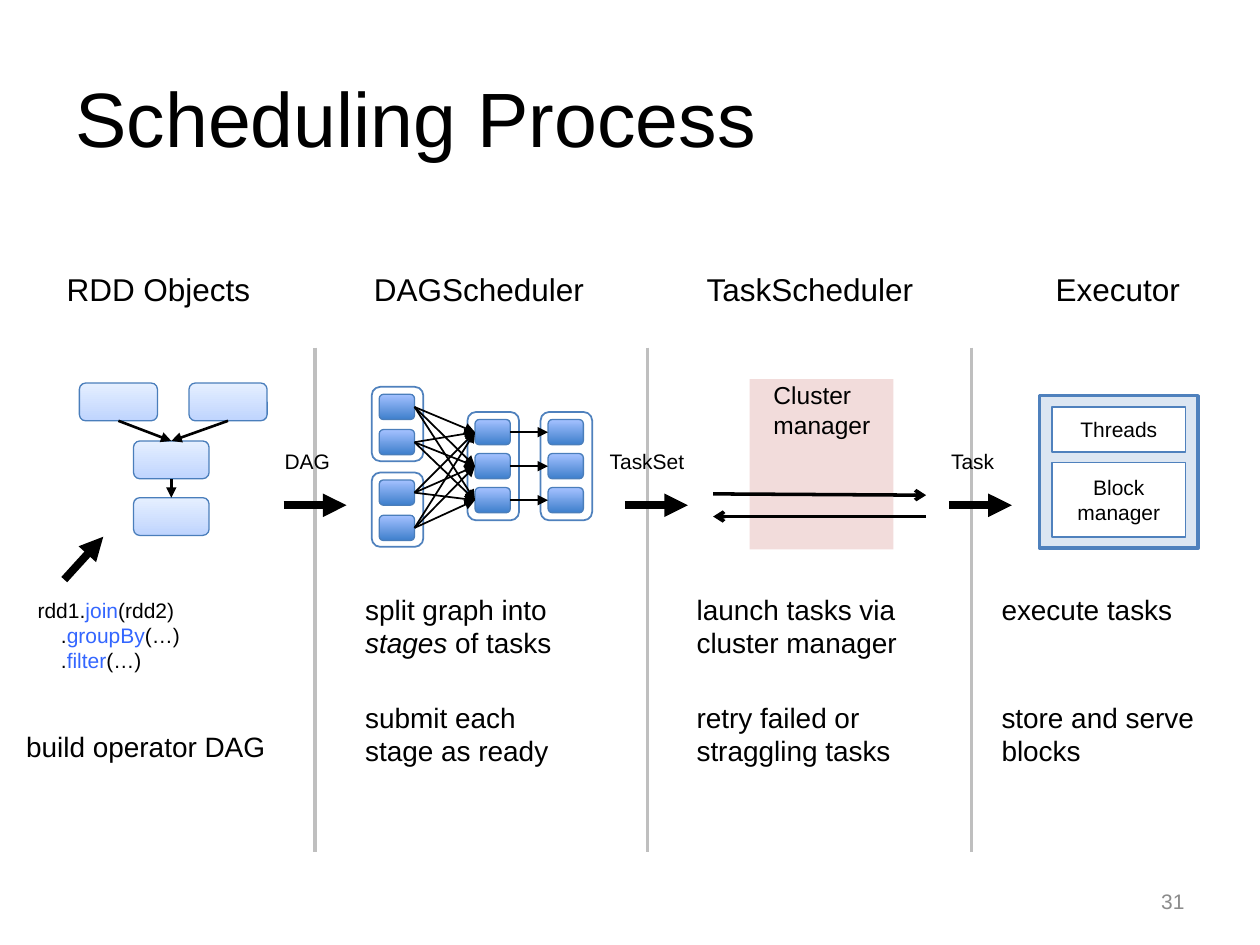
from dataclasses import dataclass
from itertools import product

from lxml.etree import SubElement
from pptx import Presentation
from pptx.dml.color import RGBColor
from pptx.enum.shapes import MSO_CONNECTOR, MSO_SHAPE
from pptx.enum.text import MSO_ANCHOR, PP_ALIGN
from pptx.oxml.ns import qn
from pptx.util import Inches, Pt


@dataclass(frozen=True)
class Theme:
    font: str = "Arial"
    text: str = "000000"
    code: str = "3366FF"
    page: str = "8B8B8B"
    white: str = "FFFFFF"
    border: str = "4F81BD"
    block_border: str = "4A7EBB"
    divider: str = "BFBFBF"
    cluster: str = "F2DCDB"
    executor: str = "DCE6F2"
    rdd: tuple = ("BFD4FE", "E5EFFF")
    task: tuple = ("3E7FCC", "A4C1FF")
    title_size: int = 44
    heading_size: int = 18
    body_size: int = 16
    cluster_size: int = 14
    label_size: int = 12


THEME = Theme()
TOP, LEFT, BOTTOM, RIGHT = range(4)  # connection sites of a rectangle


def rgb(color):
    return RGBColor.from_string(color)


def style_run(run, size, color=THEME.text):
    run.font.name = THEME.font
    run.font.size = Pt(size)
    run.font.color.rgb = rgb(color)


def style_frame(frame, size, color=THEME.text, align=PP_ALIGN.LEFT):
    for paragraph in frame.paragraphs:
        paragraph.alignment = align
        for run in paragraph.runs:
            style_run(run, size, color)


def add_text(slide, text, left, top, width, height, size,
             color=THEME.text, align=PP_ALIGN.LEFT):
    box = slide.shapes.add_textbox(*map(Inches, (left, top, width, height)))
    frame = box.text_frame
    frame.word_wrap = True
    frame.text = text
    style_frame(frame, size, color, align)
    return frame


def add_runs(paragraph, parts, size):
    """Add (text, colour, italic) parts to one paragraph."""
    for text, color, italic in parts:
        run = paragraph.add_run()
        run.text = text
        style_run(run, size, color)
        run.font.italic = italic


def add_box(slide, left, top, width, height, fill, border=None, weight=1,
            kind=MSO_SHAPE.RECTANGLE):
    """Draw a box; a pair of fill colours makes a bottom-to-top gradient."""
    box = slide.shapes.add_shape(kind, *map(Inches, (left, top, width, height)))
    box.shadow.inherit = False
    if isinstance(fill, tuple):
        box.fill.gradient()
        box.fill.gradient_angle = 90
        for stop, color in zip(box.fill.gradient_stops, fill):
            stop.color.rgb = rgb(color)
    else:
        box.fill.solid()
        box.fill.fore_color.rgb = rgb(fill)
    if border:
        box.line.color.rgb = rgb(border)
        box.line.width = Pt(weight)
    else:
        box.line.fill.background()
    return box


def add_block(slide, left, top, width, height, fill):
    return add_box(slide, left, top, width, height, fill, THEME.block_border,
                   0.75, MSO_SHAPE.ROUNDED_RECTANGLE)


def add_line(slide, start, end, weight, color=THEME.text, head=None):
    line = slide.shapes.add_connector(
        MSO_CONNECTOR.STRAIGHT, *map(Inches, (*start, *end)))
    line.line.color.rgb = rgb(color)
    line.line.width = Pt(weight)
    properties = line._element.spPr
    if head:
        SubElement(properties.find(qn("a:ln")), qn("a:tailEnd"), type=head)
    SubElement(properties, qn("a:effectLst"))
    return line


def join(slide, source, source_side, target, target_side, weight):
    arrow = add_line(slide, (0, 0), (0, 0), weight, head="triangle")
    arrow.begin_connect(source, source_side)
    arrow.end_connect(target, target_side)


def add_stage(slide, left, top, height, count, pitch):
    """Draw a stage outline with its column of tasks; return the tasks."""
    add_box(slide, left, top, 0.41, height, THEME.white, THEME.border, 1,
            MSO_SHAPE.ROUNDED_RECTANGLE)
    return [add_block(slide, left + 0.06, top + 0.06 + row * pitch, 0.28, 0.2,
                      THEME.task) for row in range(count)]


def add_handover(slide, divider_x, arrow_x, label, label_x, label_width):
    """Draw a column divider with the labelled arrow that crosses it."""
    add_line(slide, (divider_x, 2.76), (divider_x, 6.76), 2, THEME.divider)
    add_line(slide, (arrow_x, 4.01), (arrow_x + 0.5, 4.01), 4.5, head="triangle")
    add_text(slide, label, label_x, 3.51, label_width, 0.3, THEME.label_size)


def add_rdd_objects(slide):
    # Operator graph
    left_source, right_source = (
        add_block(slide, x, 3.04, 0.62, 0.3, THEME.rdd) for x in (0.63, 1.5))
    joined, result = (
        add_block(slide, 1.06, y, 0.6, 0.3, THEME.rdd) for y in (3.5, 3.95))
    for upper, lower in ((left_source, joined), (right_source, joined),
                         (joined, result)):
        join(slide, upper, BOTTOM, lower, TOP, 1.5)

    # Code that builds the graph
    code = add_text(slide, "", 0.2, 4.69, 1.45, 0.7, THEME.label_size)
    calls = (("rdd1.", "join", "(rdd2)"), ("    .", "groupBy", "(…)"),
             ("    .", "filter", "(…)"))
    for row, call in enumerate(calls):
        paragraph = code.add_paragraph() if row else code.paragraphs[0]
        colors = (THEME.text, THEME.code, THEME.text)
        add_runs(paragraph, zip(call, colors, (False,) * 3), THEME.label_size)
    add_line(slide, (0.51, 4.6), (0.82, 4.26), 4.5, head="triangle")


def add_dag_scheduler(slide):
    first = add_stage(slide, 2.95, 3.07, 0.59, 2, 0.28)
    first += add_stage(slide, 2.95, 3.75, 0.59, 2, 0.28)
    middle = add_stage(slide, 3.71, 3.27, 0.86, 3, 0.27)
    last = add_stage(slide, 4.29, 3.27, 0.86, 3, 0.27)
    for source, target in [*product(first, middle), *zip(middle, last)]:
        join(slide, source, RIGHT, target, LEFT, 1)

    split = add_text(slide, "", 2.8, 4.65, 2.09, 0.63, THEME.body_size)
    add_runs(split.paragraphs[0],
             (("split graph into ", THEME.text, False),
              ("stages", THEME.text, True),
              (" of tasks", THEME.text, False)), THEME.body_size)


def add_cluster_manager(slide):
    add_box(slide, 5.95, 3.01, 1.14, 1.35, THEME.cluster)
    add_line(slide, (5.66, 3.92), (7.35, 3.93), 2, head="arrow")
    add_line(slide, (7.35, 4.1), (5.66, 4.1), 2, head="arrow")
    add_text(slide, "Cluster\vmanager", 6.04, 2.97, 1.05, 0.56,
             THEME.cluster_size)


def add_executor(slide):
    add_box(slide, 8.25, 3.14, 1.26, 1.21, THEME.executor, THEME.border, 2)
    for label, top, height in (("Threads", 3.23, 0.36),
                               ("Block manager", 3.67, 0.59)):
        part = add_box(slide, 8.35, top, 1.06, height, THEME.white, THEME.border)
        frame = part.text_frame
        frame.margin_left = frame.margin_right = 0
        frame.vertical_anchor = MSO_ANCHOR.MIDDLE
        frame.word_wrap = True
        frame.text = label
        style_frame(frame, THEME.label_size, align=PP_ALIGN.CENTER)


def main():
    deck = Presentation()
    deck.slide_width, deck.slide_height = Inches(10), Inches(7.5)
    slide = deck.slides.add_slide(deck.slide_layouts[5])

    # Title
    title = slide.shapes.title
    title.left, title.top, title.width, title.height = map(
        Inches, (0.5, 0.3, 9, 1.25))
    title.text_frame.text = "Scheduling Process"
    title.text_frame.vertical_anchor = MSO_ANCHOR.MIDDLE
    style_frame(title.text_frame, THEME.title_size)

    # Column headings
    for heading, left, width in (
            ("RDD Objects", 0.43, 1.75), ("DAGScheduler", 2.87, 1.96),
            ("TaskScheduler", 5.51, 1.93), ("Executor", 8.28, 1.28)):
        add_text(slide, heading, left, 2.09, width, 0.4, THEME.heading_size)

    # Dividers and what is handed across them
    add_handover(slide, 2.5, 2.25, "DAG", 2.16, 0.65)
    add_handover(slide, 5.14, 4.96, "TaskSet", 4.74, 0.88)
    add_handover(slide, 7.71, 7.53, "Task", 7.45, 0.63)

    # Diagram of each column
    add_rdd_objects(slide)
    add_dag_scheduler(slide)
    add_cluster_manager(slide)
    add_executor(slide)

    # Duties of each column
    for duty, left, top, width, height in (
            ("build operator DAG", 0.11, 5.74, 2.5, 0.36),
            ("submit each stage as ready", 2.8, 5.51, 1.93, 0.63),
            ("launch tasks via cluster manager", 5.43, 4.65, 2.15, 0.63),
            ("retry failed or straggling tasks", 5.43, 5.51, 2.15, 0.63),
            ("execute tasks", 7.85, 4.65, 2.15, 0.36),
            ("store and serve blocks", 7.85, 5.51, 2.15, 0.63)):
        add_text(slide, duty, left, top, width, height, THEME.body_size)

    # Page number
    page = add_text(slide, "31", 7.17, 6.95, 2.33, 0.4, THEME.label_size,
                    THEME.page, PP_ALIGN.RIGHT)
    page.vertical_anchor = MSO_ANCHOR.MIDDLE

    deck.save("out.pptx")


if __name__ == "__main__":
    main()
